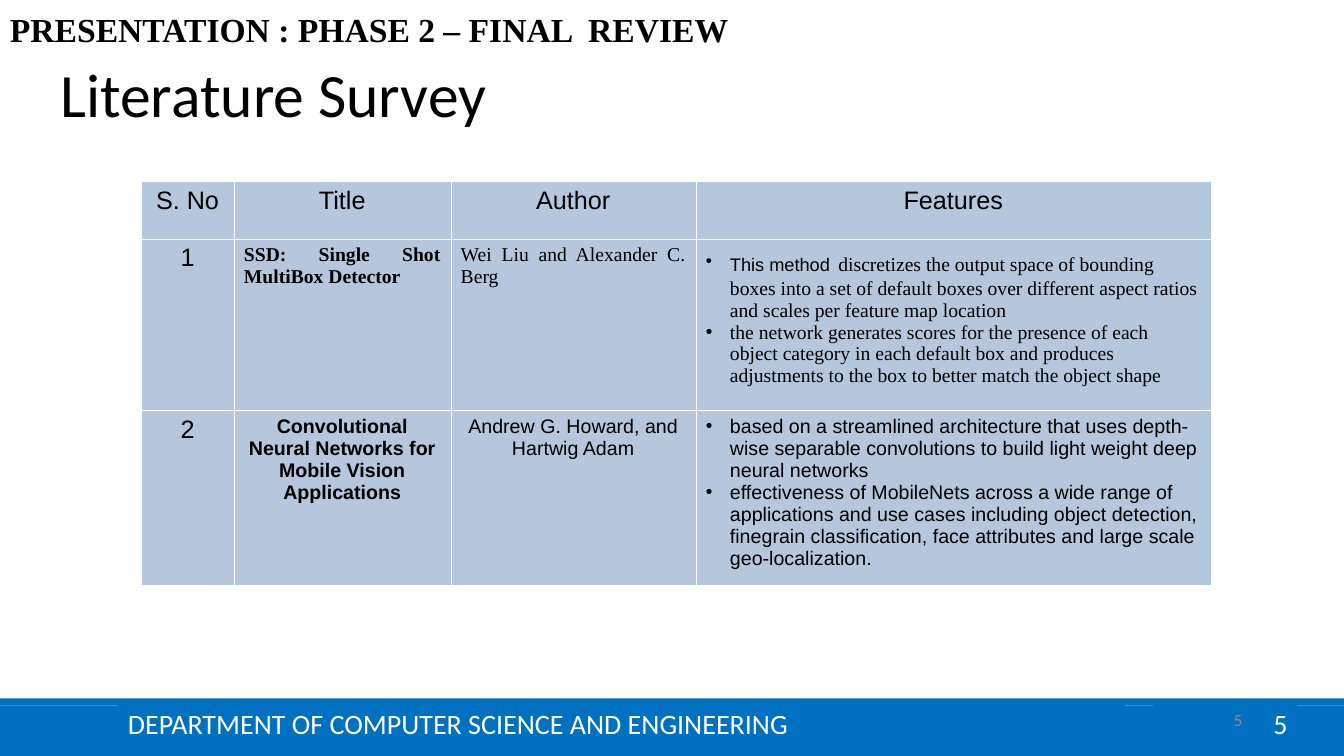
from dataclasses import dataclass
from typing import NamedTuple

from lxml.etree import SubElement
from pptx import Presentation
from pptx.dml.color import RGBColor
from pptx.enum.shapes import MSO_SHAPE
from pptx.enum.text import MSO_ANCHOR, PP_ALIGN
from pptx.oxml.ns import qn
from pptx.util import Inches, Pt


@dataclass(frozen=True)
class Theme:
    blue: str = "0070C0"
    cell: str = "B4C7DC"
    white: str = "FFFFFF"
    black: str = "000000"
    grey: str = "8B8B8B"
    sans: str = "Arial"
    serif: str = "Times New Roman"
    plain: str = "Calibri"
    title: float = 44
    banner: float = 24
    footer: float = 20
    label: float = 18
    body: float = 14
    lead: float = 13
    gap: float = 22
    small: float = 12


THEME = Theme()
LEFT, CENTER, RIGHT, FULL = (PP_ALIGN.LEFT, PP_ALIGN.CENTER,
                             PP_ALIGN.RIGHT, PP_ALIGN.JUSTIFY)


class Run(NamedTuple):
    text: str
    size: float = THEME.body
    font: str = THEME.sans
    color: str = THEME.black
    bold: bool = False


class Para(NamedTuple):
    runs: list[Run]
    align: PP_ALIGN = LEFT
    bullet: bool = False
    spacing: float = 1.0


class Box(NamedTuple):
    left: float
    top: float
    width: float
    height: float
    para: Para | None = None
    fill: str | None = None


def add_bullet(para) -> None:
    props = para._p.get_or_add_pPr()
    props.set("marL", str(Inches(0.24)))
    props.set("indent", str(-Inches(0.24)))
    tint = SubElement(props, qn("a:buClr"))
    SubElement(tint, qn("a:srgbClr"), val=THEME.black)
    SubElement(props, qn("a:buSzPct"), val="45000")
    SubElement(props, qn("a:buChar"), char="●")


def write(frame, paras: list[Para]) -> None:
    frame.word_wrap = True
    for i, item in enumerate(paras):
        para = frame.add_paragraph() if i else frame.paragraphs[0]
        para.alignment = item.align
        para.line_spacing = item.spacing
        if item.bullet:
            add_bullet(para)
        for part in item.runs:
            run = para.add_run()
            run.text = part.text
            run.font.size = Pt(part.size)
            run.font.name = part.font
            run.font.bold = part.bold
            run.font.color.rgb = RGBColor.from_string(part.color)


def add_box(slide, box: Box) -> None:
    place = [Inches(n) for n in box[:4]]
    if box.fill:
        shape = slide.shapes.add_shape(MSO_SHAPE.RECTANGLE, *place)
        shape.shadow.inherit = False
        shape.fill.solid()
        shape.fill.fore_color.rgb = RGBColor.from_string(box.fill)
        shape.line.fill.background()
    else:
        shape = slide.shapes.add_textbox(*place)
    if box.para:
        shape.text_frame.vertical_anchor = MSO_ANCHOR.MIDDLE
        write(shape.text_frame, [box.para])


def add_borders(cell) -> None:
    props = cell._tc.get_or_add_tcPr()
    for i, side in enumerate(("lnL", "lnR", "lnT", "lnB")):
        line = props.makeelement(qn(f"a:{side}"), {"w": str(Pt(0.06))})
        fill = SubElement(line, qn("a:solidFill"))
        SubElement(fill, qn("a:srgbClr"), val=THEME.white)
        props.insert(i, line)


def add_grid(slide, rows: list[list[list[Para]]]) -> None:
    widths, heights = (0.92, 2.15, 2.43, 5.11), (0.57, 1.7, 1.73)
    table = slide.shapes.add_table(
        len(heights), len(widths), Inches(1.4), Inches(1.8),
        Inches(sum(widths)), Inches(sum(heights))).table
    table.first_row = table.horz_banding = False
    for col, width in zip(table.columns, widths):
        col.width = Inches(width)
    for row, height, items in zip(table.rows, heights, rows):
        row.height = Inches(height)
        for cell, paras in zip(row.cells, items):
            cell.fill.solid()
            cell.fill.fore_color.rgb = RGBColor.from_string(THEME.cell)
            add_borders(cell)
            write(cell.text_frame, paras)


def label(text: str) -> list[Para]:
    return [Para([Run(text, THEME.label)], CENTER)]


def entry(text: str, font: str, align: PP_ALIGN, bold: bool = False) -> list[Para]:
    return [Para([Run(text, font=font, bold=bold)], align)]


def point(*runs: Run) -> Para:
    return Para(list(runs), bullet=True)


BOXES = [
    # Footer band
    Box(0, 7, 13.33, 0.5, fill=THEME.blue),
    Box(0, 6.93, 13.33, 0.07, fill=THEME.blue),
    Box(11.44, 6.98, 1.43, 0.39, Para(
        [Run("5", THEME.footer, THEME.plain, THEME.white)], RIGHT), THEME.blue),
    Box(1.17, 6.98, 9.99, 0.39, Para(
        [Run("DEPARTMENT OF COMPUTER SCIENCE AND ENGINEERING",
             THEME.footer, THEME.plain, THEME.white)]), THEME.blue),
    # Headings
    Box(0, 0.04, 10.4, 0.5, Para(
        [Run("PRESENTATION : PHASE 2 – FINAL  REVIEW",
             THEME.banner, THEME.serif, bold=True)])),
    Box(0.5, 0.25, 11.5, 1.44, Para(
        [Run("Literature Survey", THEME.title, THEME.plain)], spacing=0.9)),
    # Small page number
    Box(9.42, 6.95, 3, 0.39, Para(
        [Run("5", THEME.small, THEME.plain, THEME.grey)], RIGHT)),
]

ROWS = [
    [label(text) for text in ("S. No", "Title", "Author", "Features")],
    [
        label("1"),
        entry("SSD: Single Shot MultiBox Detector", THEME.serif, FULL, True),
        entry("Wei Liu and Alexander C. Berg", THEME.serif, FULL),
        [point(Run("This method", THEME.lead), Run(" ", THEME.gap),
               Run("discretizes the output space of bounding boxes into a set of "
                   "default boxes over different aspect ratios and scales per "
                   "feature map location", font=THEME.serif)),
         point(Run("the network generates scores for the presence of each object "
                   "category in each default box and produces adjustments to the "
                   "box to better match the object shape", font=THEME.serif))],
    ],
    [
        label("2"),
        entry("Convolutional Neural Networks for Mobile Vision Applications",
              THEME.sans, CENTER, True),
        entry("Andrew G. Howard, and Hartwig Adam", THEME.sans, CENTER),
        [point(Run("based on a streamlined architecture that uses depth-wise "
                   "separable convolutions to build light weight deep neural "
                   "networks")),
         point(Run("effectiveness of MobileNets across a wide range of applications "
                   "and use cases including object detection, finegrain "
                   "classification, face attributes and large scale "
                   "geo-localization."))],
    ],
]


def main() -> None:
    deck = Presentation()
    deck.slide_width, deck.slide_height = Inches(13.33), Inches(7.5)
    slide = deck.slides.add_slide(deck.slide_layouts[6])
    for box in BOXES:
        add_box(slide, box)
    add_grid(slide, ROWS)
    deck.save("out.pptx")


if __name__ == "__main__":
    main()
